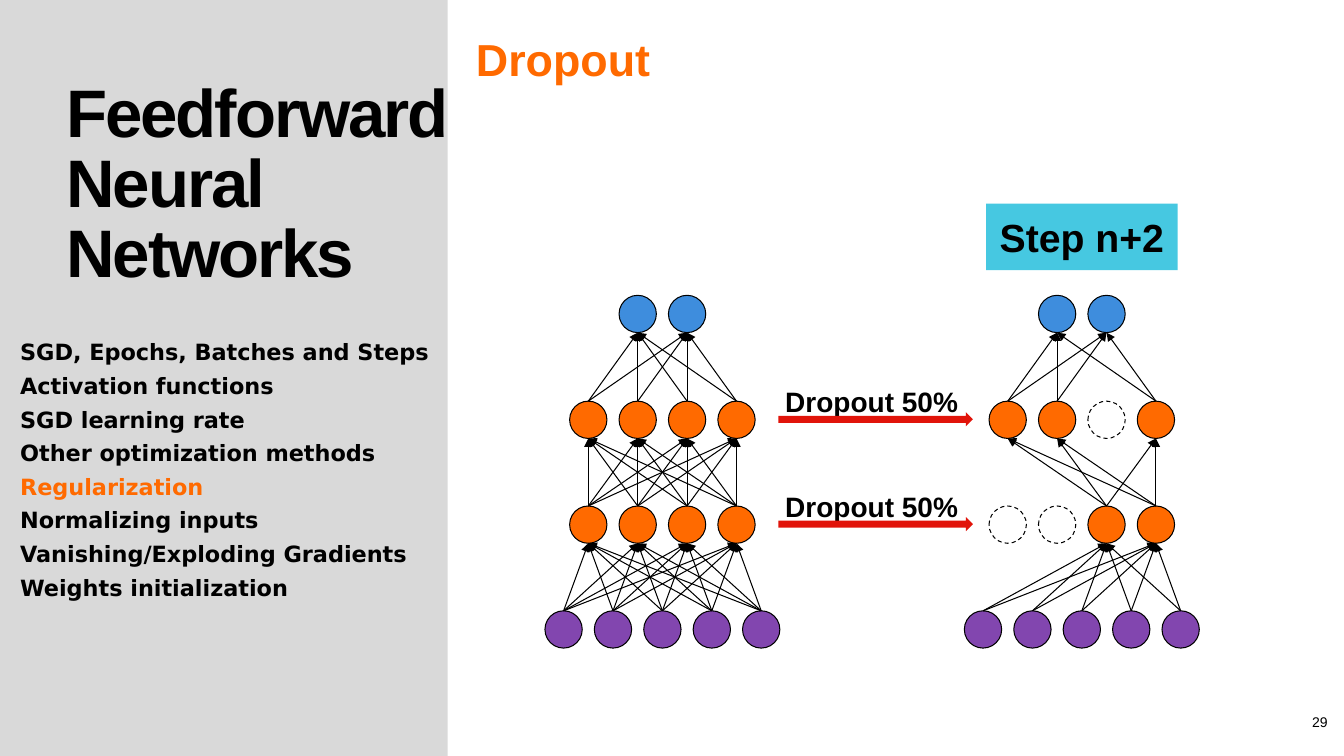
"""Builds the Dropout slide: a full network beside its thinned version."""
from itertools import product
from pptx import Presentation
from pptx.dml.color import RGBColor
from pptx.enum.dml import MSO_LINE
from pptx.enum.shapes import MSO_CONNECTOR, MSO_SHAPE
from pptx.enum.text import MSO_ANCHOR, PP_ALIGN
from pptx.oxml.ns import qn
from pptx.util import Inches, Pt
from lxml.etree import SubElement

HUES = {
    "black": "000000", "panel": "D9D9D9", "orange": "FF6A00", "purple": "8246AF",
    "blue": "3E8DDD", "cyan": "46C8E1", "red": "E1140A",
}
FORMS = {
    "title": {"size": Pt(48), "bold": True, "name": "Arial"},
    "head": {"size": Pt(32), "bold": True, "name": "Arial"},
    "topic": {"size": Pt(16), "bold": True, "name": "DejaVu Sans"},
    "step": {"size": Pt(28), "bold": True, "name": "Arial"},
    "label": {"size": Pt(20), "bold": True, "name": "Arial"},
    "page": {"size": Pt(10), "name": "Arial"},
}
TOP, MID, LOW = MSO_ANCHOR.TOP, MSO_ANCHOR.MIDDLE, MSO_ANCHOR.BOTTOM
LEFT, CENTER = PP_ALIGN.LEFT, PP_ALIGN.CENTER

deck = Presentation()
deck.slide_width, deck.slide_height = Inches(13.33), Inches(7.5)
slide = deck.slides.add_slide(deck.slide_layouts[6])
shapes = slide.shapes


def add_block(kind, area, hue=None):
    """Add a flat preset shape, filled when a hue is given."""
    shape = shapes.add_shape(kind, *map(Inches, area))
    shape.shadow.inherit = False
    shape.line.fill.background()
    if hue:
        shape.fill.solid()
        shape.fill.fore_color.rgb = RGBColor.from_string(HUES[hue])
    else:
        shape.fill.background()
    return shape


def add_text(area, lines, form, hue="black", anchor=TOP, align=LEFT, pitch=None):
    """Add a text box without margins, one paragraph per line."""
    box = shapes.add_textbox(*map(Inches, area))
    frame = box.text_frame
    layout = {"word_wrap": True, "vertical_anchor": anchor, "margin_left": 0,
              "margin_right": 0, "margin_top": 0, "margin_bottom": 0}
    for key, value in layout.items():
        setattr(frame, key, value)
    frame.text = "\n".join(lines)
    for para in frame.paragraphs:
        para.alignment = align
        if pitch:
            para.line_spacing = Pt(pitch)
        for run in para.runs:
            for key, value in FORMS[form].items():
                setattr(run.font, key, value)
            run.font.color.rgb = RGBColor.from_string(HUES[hue])
    return frame


add_block(MSO_SHAPE.RECTANGLE, (0, 0, 4.44, 7.5), "panel")
add_text((12.85, 7.08, 0.48, 0.17), ["29"], "page", anchor=MID, align=CENTER)
title = add_text((0.66, 0.8, 3.78, 2.13), ["Feedforward Neural Networks"], "title", pitch=50)
title.paragraphs[0].runs[0].font._element.set("spc", "-150")
add_text((4.72, 0.36, 7.85, 0.49), ["Dropout"], "head", "orange", LOW, pitch=24)

topics = [
    "SGD, Epochs, Batches and Steps", "Activation functions", "SGD learning rate",
    "Other optimization methods", "Regularization", "Normalizing inputs",
    "Vanishing/Exploding Gradients", "Weights initialization",
]
menu = add_text((0.2, 3.29, 4.24, 2.95), topics, "topic", pitch=24)
active = menu.paragraphs[topics.index("Regularization")].runs[0]
active.font.color.rgb = RGBColor.from_string(HUES["orange"])

SIZE, GAP = 0.37, 0.49
LAYERS = [(5, 6.06, "purple"), (4, 5.02, "orange"), (4, 3.98, "orange"), (2, 2.93, "blue")]
NETS = [(6.57, {}), (10.73, {1: {0, 1}, 2: {2}})]

for axis, drops in NETS:
    rows = []
    for level, (count, top, hue) in enumerate(LAYERS):
        alive = []
        for index in range(count):
            x = axis + (index - (count - 1) / 2) * GAP
            gone = index in drops.get(level, ())
            node = add_block(MSO_SHAPE.OVAL, (x - SIZE / 2, top, SIZE, SIZE),
                             None if gone else hue)
            node.line.color.rgb = RGBColor.from_string(HUES["black"])
            node.line.width = Pt(0.75)
            if gone:
                node.line.dash_style = MSO_LINE.DASH
            else:
                alive.append((x, top))
        rows.append(alive)
    for lower, upper in zip(rows, rows[1:]):
        for (x1, y1), (x2, y2) in product(lower, upper):
            ends = map(Inches, (x1, y1, x2, y2 + SIZE))
            link = shapes.add_connector(MSO_CONNECTOR.STRAIGHT, *ends)
            link.line.color.rgb = RGBColor.from_string(HUES["black"])
            link.line.width = Pt(0.75)
            SubElement(link.line._get_or_add_ln(), qn("a:tailEnd"), type="triangle")
            SubElement(link._element.spPr, qn("a:effectLst"))

step = (9.78, 2.02, 1.9, 0.66)
add_block(MSO_SHAPE.RECTANGLE, step, "cyan")
add_text(step, ["Step n+2"], "step", anchor=MID, align=CENTER)
for top in (3.65, 4.69):
    add_text((7.62, top, 2.05, 0.66), ["Dropout 50%"], "label", anchor=MID, align=CENTER)
    add_block(MSO_SHAPE.RIGHT_ARROW, (7.72, top + 0.44, 1.93, 0.14), "red")

deck.save("out.pptx")
